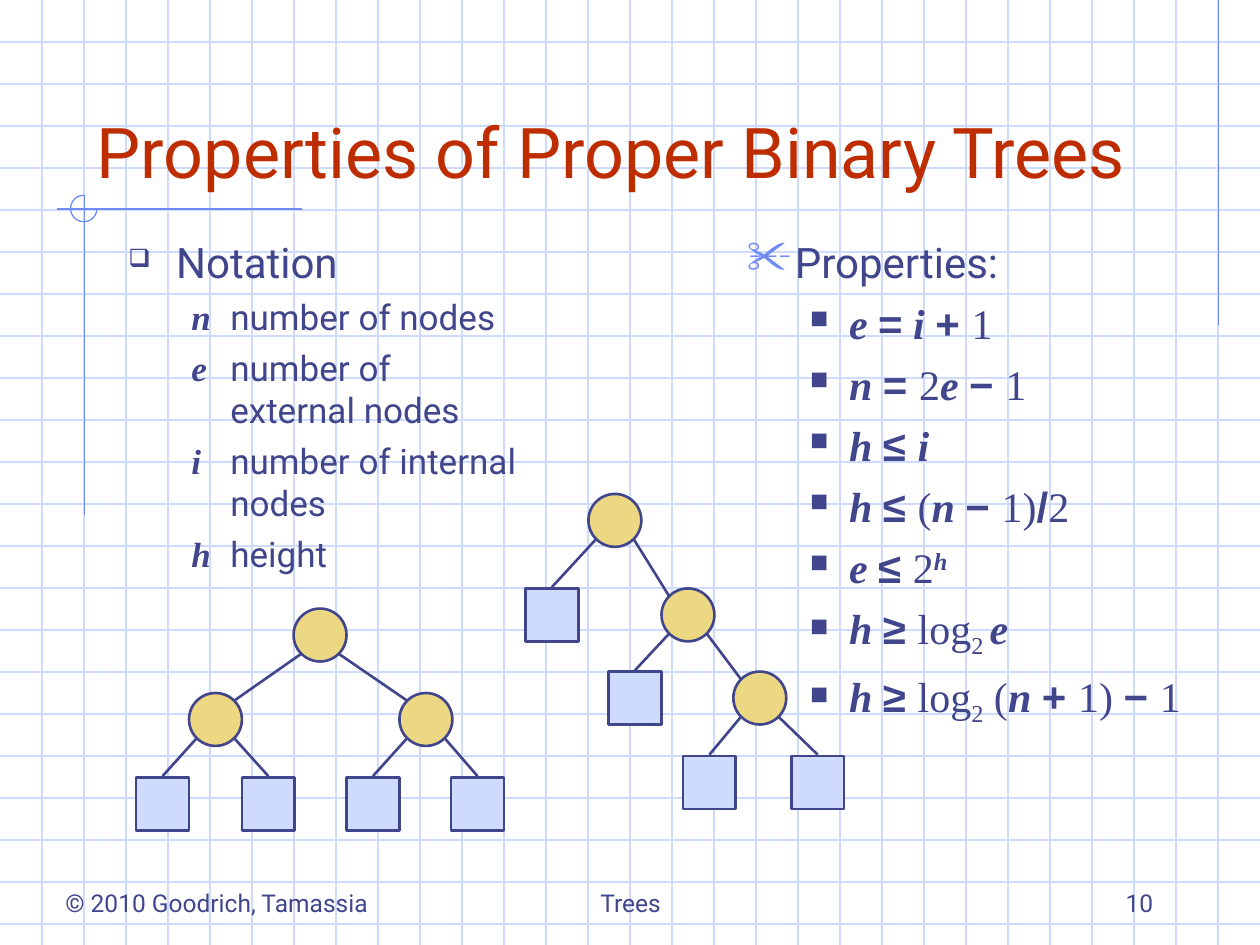
"""Build the slide on properties of proper binary trees."""
from lxml.etree import SubElement
from pptx import Presentation
from pptx.dml.color import RGBColor
from pptx.enum.shapes import MSO_CONNECTOR, MSO_SHAPE
from pptx.enum.text import MSO_ANCHOR, PP_ALIGN
from pptx.oxml.ns import qn
from pptx.util import Inches, Pt

theme = {
    "ink": "40458C", "title": "BE2D00", "grid": "CFDBFD", "trim": "6F89F7",
    "inner": "ECD882", "leaf": "CFDBFD",
    "big": 40, "head": 24, "note": 20, "foot": 14, "thin": 0.74, "edge": 1.5,
}
styles = {
    "p": ("Roboto", False, False, 0),
    "v": ("Times New Roman", True, True, 0),
    "n": ("Times New Roman", False, False, 0),
    "o": ("Arial", True, False, 0),
    "^": ("Times New Roman", True, True, 30000),
    "_": ("Times New Roman", False, False, -25000),
}

deck = Presentation()
deck.slide_width, deck.slide_height = Inches(10), Inches(7.5)
slide = deck.slides.add_slide(deck.slide_layouts[6])
shapes = slide.shapes


def rule(x1, y1, x2, y2, color, width):
    """Draw a straight line without a shadow."""
    line = shapes.add_connector(
        MSO_CONNECTOR.STRAIGHT, Inches(x1), Inches(y1), Inches(x2), Inches(y2))
    line.line.color.rgb = RGBColor.from_string(theme[color])
    line.line.width = Pt(theme[width])
    SubElement(line._element.spPr, qn("a:effectLst"))


def write(box, rows, size, color="ink", align=PP_ALIGN.LEFT, anchor=MSO_ANCHOR.BOTTOM):
    """Write rows of styled runs and return their paragraphs."""
    frame = shapes.add_textbox(*map(Inches, box)).text_frame
    frame.word_wrap, frame.vertical_anchor = True, anchor
    for i, row in enumerate(rows):
        para = frame.add_paragraph() if i else frame.paragraphs[0]
        para.alignment = align
        for part in row.split("|"):
            run = para.add_run()
            run.text = part[1:]
            font = run.font
            font.name, font.bold, font.italic, base = styles[part[0]]
            font.size = Pt(theme[size])
            font.color.rgb = RGBColor.from_string(theme[color])
            if base:
                run._r.get_or_add_rPr().set("baseline", str(base))
    return frame.paragraphs


for i in range(1, 23):
    rule(0, i / 3, 10, i / 3, "grid", "thin")
for i in range(1, 30):
    rule(i / 3, 0, i / 3, 7.5, "grid", "thin")
for ends in [(9.67, 0, 9.67, 2.58), (2.4, 1.66, 0.45, 1.66), (0.67, 1.55, 0.67, 4.09)]:
    rule(*ends, "trim", "thin")
arc = shapes.add_shape(MSO_SHAPE.ARC, *map(Inches, (0.56, 1.55, 0.21, 0.21)))
arc.adjustments[0], arc.adjustments[1] = 0, 270 * 0.6
arc.shadow.inherit = False
arc.fill.background()
arc.line.color.rgb = RGBColor.from_string(theme["trim"])
arc.line.width = Pt(theme["thin"])

write((0.67, 0.33, 8.5, 1.25), ["pProperties of Proper Binary Trees"], "big", "title")
write((0.42, 6.83, 2.75, 0.5), ["p© 2010 Goodrich, Tamassia"], "foot")
write((3.42, 6.83, 3.17, 0.5), ["pTrees"], "foot", align=PP_ALIGN.CENTER)
write((7.17, 6.83, 2.08, 0.5), ["p10"], "foot", align=PP_ALIGN.RIGHT)

notes = write((0.92, 1.83, 3.33, 2.83), [
    "pNotation",
    "vn\t|pnumber of nodes",
    "ve\t|pnumber of external nodes",
    "vi\t|pnumber of internal nodes",
    "vh\t|pheight",
], "note", anchor=MSO_ANCHOR.TOP)
notes[0].runs[0].font.size = Pt(theme["head"])
facts = write((5.83, 1.83, 3.75, 4), [
    "pProperties:",
    "ve |o=|v i |o+ |n1",
    "vn |o= |n2|ve |o− |n1",
    "vh |o≤ |vi",
    "vh |o≤ |n(|vn |o− |n1)|o/|n2",
    "ve |o≤ |n2|^h",
    "vh |o≥ |nlog|_2 |ve",
    "vh |o≥ |nlog|_2|n (|vn |o+ |n1) |o− |n1",
], "head", anchor=MSO_ANCHOR.TOP)

for paras, head, item, gap in [
    (notes, ("❑", "ink", 60), None, 5),
    (facts, ("✂", "trim", 110), ("■", "ink", 60), 6),
]:
    for i, para in enumerate(paras):
        para.level = 1 if i else 0
        para.space_before = Pt(gap if i else 6)
        left, hang = (0.81, 0.31) if i else (0.38, 0.38)
        props = para._p.get_or_add_pPr()
        props.set("marL", str(Inches(left)))
        props.set("indent", str(-Inches(hang)))
        mark = item if i else head
        if mark:
            char, color, scale = mark
            SubElement(SubElement(props, qn("a:buClr")), qn("a:srgbClr"), val=theme[color])
            SubElement(props, qn("a:buSzPct"), val=str(scale * 1000))
            SubElement(props, qn("a:buChar"), char=char)
        else:
            SubElement(props, qn("a:buNone"))

side, inset = 0.42, 0.06
trees = [
    ([(2.33, 4.83, None), (1.5, 5.5, 0), (3.17, 5.5, 0)],
     [(1.08, 6.17, 1), (1.92, 6.17, 1), (2.75, 6.17, 2), (3.58, 6.17, 2)]),
    ([(4.67, 3.92, None), (5.25, 4.67, 0), (5.82, 5.33, 1)],
     [(4.17, 4.67, 0), (4.83, 5.33, 1), (5.42, 6, 2), (6.28, 6, 2)]),
]
for inner, leaves in trees:
    for nodes, form, color in [
        (inner, MSO_SHAPE.OVAL, "inner"), (leaves, MSO_SHAPE.RECTANGLE, "leaf"),
    ]:
        for x, y, up in nodes:
            node = shapes.add_shape(form, *map(Inches, (x, y, side, side)))
            node.shadow.inherit = False
            node.fill.solid()
            node.fill.fore_color.rgb = RGBColor.from_string(theme[color])
            node.line.color.rgb = RGBColor.from_string(theme["ink"])
            node.line.width = Pt(theme["edge"])
            if up is None:
                continue
            px, py, _ = inner[up]
            near, far = (inset, side - inset) if x < px else (side - inset, inset)
            tip = (x + far, y + inset) if nodes is inner else (x + side / 2, y - 0.01)
            rule(px + near, py + side - inset, *tip, "ink", "edge")

deck.save("out.pptx")
